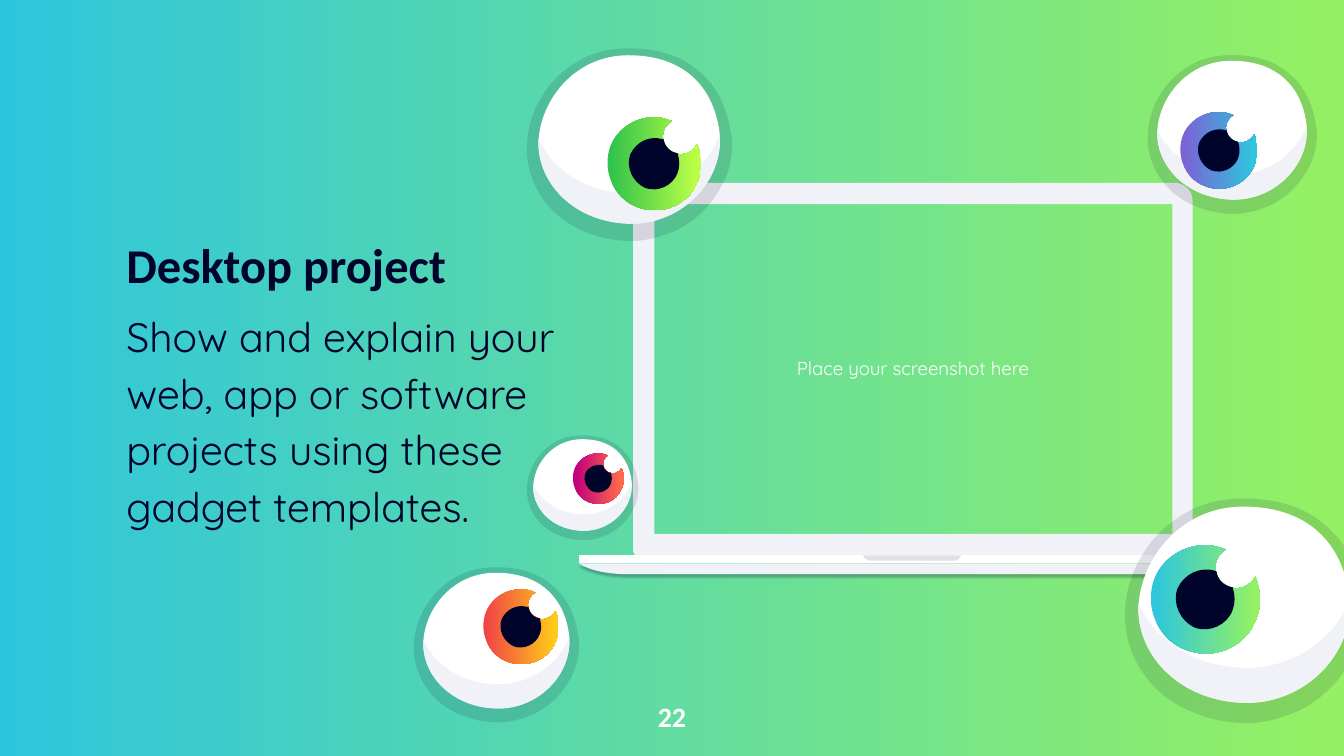
import pptx
import pptx.dml.color
import pptx.enum.text
import pptx.oxml.ns
import pptx.util
import lxml.etree

Pt = pptx.util.Pt
RGBColor = pptx.dml.color.RGBColor
PP_ALIGN = pptx.enum.text.PP_ALIGN
qn = pptx.oxml.ns.qn

NAVY = RGBColor(0x00, 0x03, 0x2A)
SHADE = RGBColor(0x09, 0x05, 0x2E)
WHITE = RGBColor(0xFF, 0xFF, 0xFF)
PALE = RGBColor(0xF1, 0xF2, 0xF7)
CYAN = RGBColor(0x2E, 0xC6, 0xDD)
LIME = RGBColor(0x95, 0xF1, 0x63)
GREEN = RGBColor(0x32, 0xC3, 0x4B)
YELLOW_GREEN = RGBColor(0xBB, 0xFF, 0x45)
VIOLET = RGBColor(0x7B, 0x62, 0xD5)
MAGENTA = RGBColor(0xC0, 0x00, 0x7C)
CORAL = RGBColor(0xFF, 0x6B, 0x4B)
RED = RGBColor(0xF1, 0x45, 0x45)
AMBER = RGBColor(0xFF, 0xCC, 0x19)

# Outlines: a pair is a line to a point, six numbers are a Bezier curve
EYE_WIDTH = 178
HALO = [(91, 167), (67, 167, 44, 159, 27, 145), (10, 130, 1, 111, 0, 90),
        (-1, 67, 8, 44, 25, 26), (33, 18, 42, 12, 52, 7), (64, 2, 76, 0, 88, 0),
        (113, 0, 133, 6, 148, 19), (163, 31, 172, 48, 176, 69),
        (179, 81, 178, 93, 175, 104), (172, 115, 166, 125, 159, 134),
        (151, 144, 141, 152, 129, 158), (117, 163, 104, 167, 91, 167)]
EYEBALL = [(88, 6), (39, 6, 9, 49, 10, 85), (12, 122, 46, 152, 91, 152),
           (136, 152, 175, 111, 166, 67), (159, 30, 133, 6, 88, 6)]
EYE_SHADE = [(91, 126), (53, 126, 22, 106, 10, 78), (10, 85),
             (12, 122, 46, 152, 91, 152), (134, 152, 170, 116, 167, 75),
             (156, 105, 125, 126, 91, 126)]
IRIS = [(78, 24), (74, 32, 64, 35, 57, 31), (49, 27, 46, 18, 50, 10),
        (52, 7, 54, 5, 56, 4), (36, -5, 12, 5, 3, 25), (-5, 46, 5, 70, 25, 78),
        (46, 87, 70, 77, 78, 57), (83, 46, 82, 35, 78, 24)]
PUPIL = [(49, 20), (37, 16, 25, 22, 20, 33), (16, 44, 22, 57, 33, 62),
         (44, 66, 57, 60, 61, 49), (63, 44, 63, 38, 61, 32), (55, 31, 50, 27, 49, 20)]

LAPTOP_WIDTH = 496
LID = [(442, 0), (54, 0), (46, 0, 40, 6, 40, 13), (40, 273),
       (40, 276, 42, 278, 45, 278), (451, 278), (454, 278, 456, 276, 456, 273),
       (456, 13), (456, 6, 450, 0, 442, 0)]
SCREEN = [(441, 261), (56, 261), (56, 16), (441, 16)]
BASE = [(0, 283), (0, 283, 10, 291, 36, 291), (468, 291), (478, 291, 496, 283, 496, 283)]
DECK = [(0, 277), (496, 277), (496, 283), (0, 283)]
NOTCH = [(211, 277), (211, 277, 213, 281, 216, 281), (280, 281),
         (282, 281, 284, 277, 284, 277)]


def set_gradient(fill, colors):
    fill.gradient()
    fill.gradient_angle = 0
    for stop, color in zip(fill.gradient_stops, colors):
        stop.color.rgb = color


def add_alpha(element, percent):
    color = next(element.iter(qn("a:srgbClr")))
    lxml.etree.SubElement(color, qn("a:alpha"), val=str(percent * 1000))


def bend_lines(shape, segments, place):
    """Turn the straight segments that have control points into curves."""
    lines = list(shape._element.iter(qn("a:lnTo")))
    for line, segment in zip(lines, segments):
        if len(segment) == 6:
            line.tag = qn("a:cubicBezTo")
            for index in (0, 1):
                x, y = place(segment[2 * index:2 * index + 2])
                control = lxml.etree.Element(qn("a:pt"), x=str(x - shape.left),
                                             y=str(y - shape.top))
                line.insert(index, control)


def draw(slide, outlines, left, top, unit, color, alpha=None):
    """Draw outlines as one shape; a pair of colors makes a gradient."""
    def place(point):
        return Pt(left + point[0] * unit), Pt(top + point[1] * unit)

    builder = slide.shapes.build_freeform(*place(outlines[0][0]))
    for number, outline in enumerate(outlines):
        if number:
            builder.move_to(*place(outline[0]))
        builder.add_line_segments([place(segment[-2:]) for segment in outline[1:]])
    shape = builder.convert_to_shape()
    bend_lines(shape, [segment for outline in outlines for segment in outline[1:]], place)
    shape.shadow.inherit = False
    shape.line.fill.background()
    if isinstance(color, RGBColor):
        shape.fill.solid()
        shape.fill.fore_color.rgb = color
    else:
        set_gradient(shape.fill, color)
    if alpha:
        add_alpha(shape._element.spPr, alpha)
    return shape


def add_eye(slide, left, top, width, iris_left, iris_top, iris_colors):
    unit = width / EYE_WIDTH
    draw(slide, [HALO], left, top, unit, SHADE, 12)
    draw(slide, [EYEBALL], left, top, unit, WHITE)
    draw(slide, [EYE_SHADE], left, top, unit, PALE)
    draw(slide, [IRIS], left + iris_left, top + iris_top, unit, iris_colors)
    draw(slide, [PUPIL], left + iris_left, top + iris_top, unit, NAVY)


def add_laptop(slide, left, top, width):
    unit = width / LAPTOP_WIDTH
    draw(slide, [LID, SCREEN], left, top, unit, PALE)
    base = draw(slide, [BASE], left, top, unit, PALE)
    effects = base._element.spPr.find(qn("a:effectLst"))
    shadow = lxml.etree.SubElement(effects, qn("a:outerShdw"), blurRad=str(Pt(1.1)),
                                   dist=str(Pt(1.5)), dir="5400000")
    lxml.etree.SubElement(shadow, qn("a:srgbClr"), val=str(NAVY))
    add_alpha(shadow, 25)
    draw(slide, [DECK], left, top, unit, WHITE)
    draw(slide, [NOTCH], left, top, unit, SHADE, 12)


def format_runs(paragraph, font, size, color, bold=False):
    for run in paragraph.runs:
        run.font.name = font
        run.font.size = Pt(size)
        run.font.bold = bold
        run.font.color.rgb = color


def prepare_frame(text_frame, margin=0):
    text_frame.word_wrap = True
    text_frame.auto_size = pptx.enum.text.MSO_AUTO_SIZE.NONE
    text_frame.vertical_anchor = pptx.enum.text.MSO_ANCHOR.MIDDLE
    text_frame.margin_left = text_frame.margin_right = Pt(margin)
    text_frame.margin_top = text_frame.margin_bottom = Pt(margin)


def add_label(slide, text, left, top, width, height, font, size, bold=False, margin=0):
    box = slide.shapes.add_textbox(Pt(left), Pt(top), Pt(width), Pt(height))
    prepare_frame(box.text_frame, margin)
    box.text_frame.text = text
    paragraph = box.text_frame.paragraphs[0]
    paragraph.alignment = PP_ALIGN.CENTER
    format_runs(paragraph, font, size, WHITE, bold)


def fill_body(body, left, top, width, height):
    body.left, body.top, body.width, body.height = Pt(left), Pt(top), Pt(width), Pt(height)
    prepare_frame(body.text_frame)
    body.text_frame.text = ("Desktop project\nShow and explain your web, app or software "
                            "projects using these gadget templates.")
    heading, description = body.text_frame.paragraphs
    for paragraph in (heading, description):
        paragraph.line_spacing = 1.15
        paragraph.space_before = Pt(6)
        paragraph.alignment = PP_ALIGN.LEFT
        properties = paragraph._p.get_or_add_pPr()
        properties.set("marL", "0")
        properties.set("indent", "0")
        lxml.etree.SubElement(properties, qn("a:buNone"))
    format_runs(heading, "Calibri", 26, NAVY, True)
    format_runs(description, "Quicksand", 22, NAVY)


presentation = pptx.Presentation()
presentation.slide_width, presentation.slide_height = Pt(720), Pt(405)
slide = presentation.slides.add_slide(presentation.slide_layouts[1])
set_gradient(slide.background.fill, (CYAN, LIME))

# Text
title = slide.shapes.title
title._element.getparent().remove(title._element)
fill_body(slide.placeholders[1], 67.68, 29.5, 260.6, 346.3)
add_label(slide, "Place your screenshot here", 350, 108.7, 278, 177.1,
          "Quicksand", 10, margin=7.2)
add_label(slide, "22", 338.4, 368, 43.2, 31, "Calibri", 15, bold=True)

# Laptop
add_laptop(slide, 310.3, 97.9, 357.4)

# Eyes: left, top, width, iris offset, iris colors
for eye in [(282.3, 25.9, 110, 43, 36.5, (GREEN, YELLOW_GREEN)),
            (614.9, 29.5, 90.7, 17.3, 30.2, (VIOLET, CYAN)),
            (282.3, 233.3, 59.8, 24.5, 9.4, (MAGENTA, CORAL)),
            (221.8, 303.9, 88.6, 37, 11.5, (RED, AMBER)),
            (602.7, 267.1, 128.2, 13.7, 24.5, (CYAN, LIME))]:
    add_eye(slide, *eye)

presentation.save("out.pptx")
